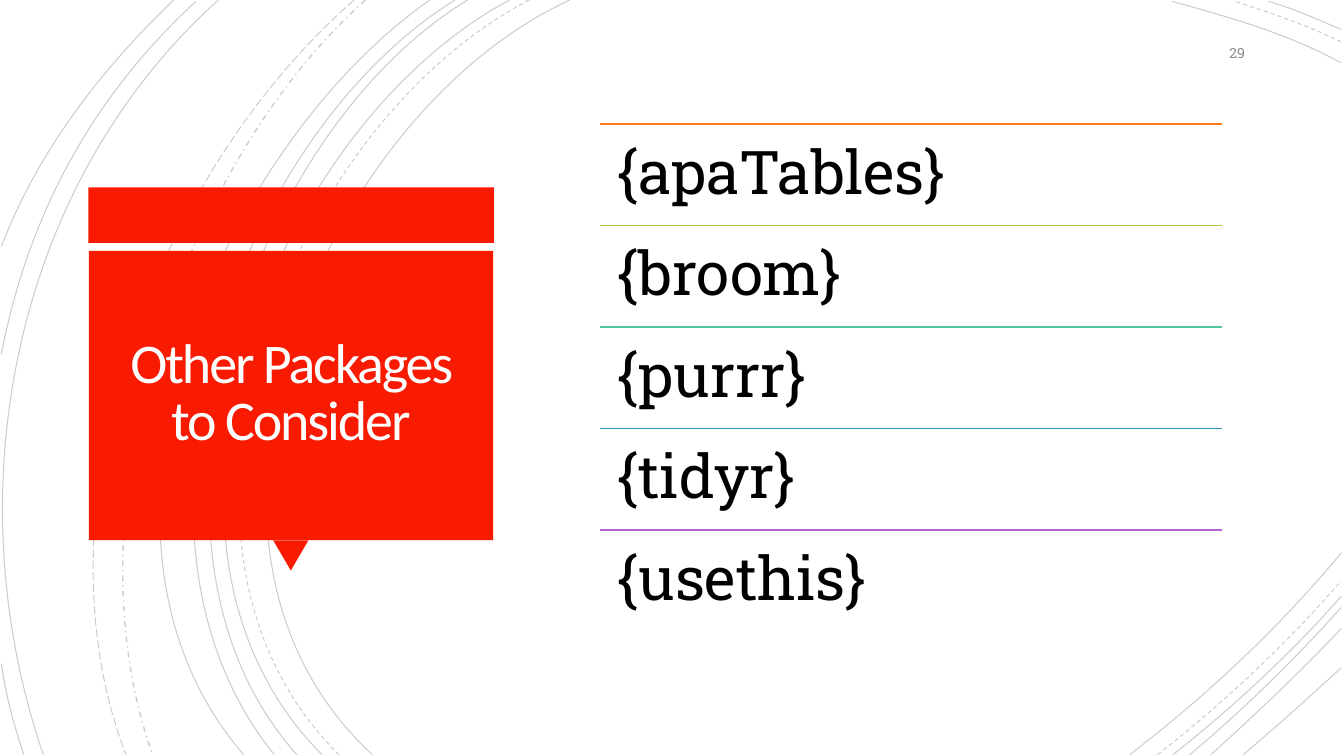
from pptx import Presentation
from pptx.dml.color import RGBColor
from pptx.enum import dml, shapes, text
from pptx.oxml import ns, xmlchemy
from pptx.util import Pt

RED = "F81B02"
TITLE = "Other Packages to Consider"
NUMBER = "29"
ROWS = [
    ("{apaTables}", "FC7715"),
    ("{broom}", "AFBF41"),
    ("{purrr}", "50C49F"),
    ("{tidyr}", "3B95C4"),
    ("{usethis}", "B560D4"),
]
LEFT, TOP, WIDTH, STEP = 428.4, 88.6, 444.2, 72.5

SOLID = dml.MSO_LINE.SOLID
DASH = dml.MSO_LINE.DASH
LONG = dml.MSO_LINE.LONG_DASH
DOT = dml.MSO_LINE.DASH_DOT
ARCS = [
    (SOLID, (406.8, 0), (226.8, 82.8), (103, 388.8), (265.7, 538.6)),
    (SOLID, (958.3, 44.6), (920.2, 24.5), (877, 11.5), (836.6, 0.7)),
    (SOLID, (807.1, 538.6), (861.8, 496.8), (913.7, 447.8), (958.3, 394.6)),
    (DASH, (378, 0), (205.2, 90), (88.6, 386.6), (241.9, 538.6)),
    (DASH, (958.3, 29.5), (933.8, 18), (907.2, 8.6), (882, 0.7)),
    (DASH, (826.6, 539.3), (873.4, 502.6), (918, 460.8), (957.6, 415.4)),
    (SOLID, (364.3, 0), (194.4, 91.4), (79.2, 386.6), (229.7, 538.6)),
    (SOLID, (958.3, 20.9), (941, 13.7), (923.8, 6.5), (905.8, 0.7)),
    (SOLID, (838.1, 538.6), (880.6, 504.7), (921.6, 466.6), (958.3, 425.5)),
    (SOLID, (334.1, 0), (175.7, 95.8), (79.2, 389.5), (211.7, 538.6)),
    (SOLID, (850.3, 538.6), (888.5, 506.9), (924.5, 471.6), (958.3, 434.2)),
    (SOLID, (324.7, 0), (166.3, 99.4), (69.8, 383.8), (195.8, 538.6)),
    (SOLID, (864.7, 538.6), (897.1, 510.5), (928.8, 480.2), (958.3, 448.6)),
    (SOLID, (307.4, 0), (156.2, 105.8), (38.2, 380.9), (173.5, 538.6)),
    (SOLID, (888.5, 538.6), (912.2, 519.1), (935.3, 498.2), (958.3, 476.6)),
    (DOT, (261.4, 0), (126.7, 119.5), (46.8, 366.5), (108.7, 538.6)),
    (LONG, (252.7, 0), (113, 121.7), (20.9, 359.3), (90, 538.6)),
    (SOLID, (156.2, 0), (7.9, 133.2), (-33.1, 352.8), (31, 538.6)),
    (SOLID, (140.4, 0.7), (66.2, 69.1), (20.2, 154.1), (1.4, 252.7)),
    (SOLID, (0.7, 473.8), (4.3, 496.1), (10.1, 517.7), (17.3, 538.6)),
    (SOLID, (123.8, 0), (72, 49.7), (26.6, 108), (1.4, 175.7)),
]
BLOCKS = [
    (shapes.MSO_SHAPE.RECTANGLE, (63.2, 133.9, 289.6, 39.6), 0),
    (shapes.MSO_SHAPE.ISOSCELES_TRIANGLE, (195.1, 385.9, 25.2, 21.6), 180),
    (shapes.MSO_SHAPE.RECTANGLE, (63.5, 179.3, 288.8, 206.6), 0),
]


def rgb(code):
    return RGBColor.from_string(code)


def add(parent, tag, **attrs):
    node = xmlchemy.OxmlElement(tag)
    for key, val in attrs.items():
        node.set(key, str(val))
    parent.append(node)
    return node


def draw_arc(tree, dash, start, *ends):
    pen = tree.build_freeform(*start, scale=Pt(1))
    pen.add_line_segments(ends, close=False)
    arc = pen.convert_to_shape()
    legs = list(arc._element.iter(ns.qn("a:lnTo")))
    curve = xmlchemy.OxmlElement("a:cubicBezTo")
    legs[0].addprevious(curve)
    for leg in legs:
        curve.append(leg[0])
        leg.getparent().remove(leg)
    arc.shadow.inherit = False
    arc.fill.background()
    arc.line.width = Pt(1 if dash == DOT else 0.75)
    arc.line.color.rgb = rgb("000000")
    arc.line.dash_style = dash
    tint = next(arc._element.iter(ns.qn("a:srgbClr")))
    add(tint, "a:alpha", val=20000)


def write(shape, words, face, size, color, align, anchor, inset=None, lead=None):
    frame = shape.text_frame
    frame.word_wrap = True
    frame.auto_size = text.MSO_AUTO_SIZE.NONE
    frame.vertical_anchor = anchor
    if inset is not None:
        frame.margin_left = frame.margin_right = Pt(inset)
        frame.margin_top = frame.margin_bottom = Pt(inset)
    frame.text = words
    para = frame.paragraphs[0]
    para.alignment = align
    if lead:
        para.line_spacing = lead
    para.font.name = face
    para.font.size = Pt(size)
    para.font.color.rgb = rgb(color)
    return para


def main():
    deck = Presentation()
    deck.slide_width, deck.slide_height = Pt(960), Pt(540)
    slide = deck.slides.add_slide(deck.slide_layouts[5])
    tree = slide.shapes
    mid, top = text.MSO_ANCHOR.MIDDLE, text.MSO_ANCHOR.TOP

    for arc in ARCS:
        draw_arc(tree, *arc)

    for kind, box, turn in BLOCKS:
        block = tree.add_shape(kind, *map(Pt, box))
        block.rotation = turn
        block.shadow.inherit = False
        block.fill.solid()
        block.fill.fore_color.rgb = rgb(RED)
        block.line.fill.background()

    title = tree.title
    title.left, title.top, title.width, title.height = map(Pt, (69.8, 185, 275.8, 193.7))
    para = write(title, TITLE, "Calibri", 40, "FFFEFF", text.PP_ALIGN.CENTER, mid, 18, 0.85)
    para.runs[0]._r.get_or_add_rPr().set("spc", "-150")
    tree._spTree.append(title._element)

    for i, (name, color) in enumerate(ROWS):
        y = Pt(TOP + i * STEP)
        rule = tree.add_connector(shapes.MSO_CONNECTOR.STRAIGHT, Pt(LEFT), y, Pt(LEFT + WIDTH), y)
        rule.line.width = Pt(1.25)
        rule.line.color.rgb = rgb(color)
        add(rule._element.spPr, "a:effectLst")
        label = tree.add_textbox(Pt(LEFT), y, Pt(WIDTH), Pt(STEP))
        write(label, name, "Roboto Slab", 43, "000000", text.PP_ALIGN.LEFT, top, 13, 0.9)

    page = tree.add_textbox(Pt(824.4), Pt(25.2), Pt(72), Pt(25.2))
    write(page, NUMBER, "Roboto Slab", 10, "8C8C8C", text.PP_ALIGN.RIGHT, mid)
    deck.save("out.pptx")


if __name__ == "__main__":
    main()
